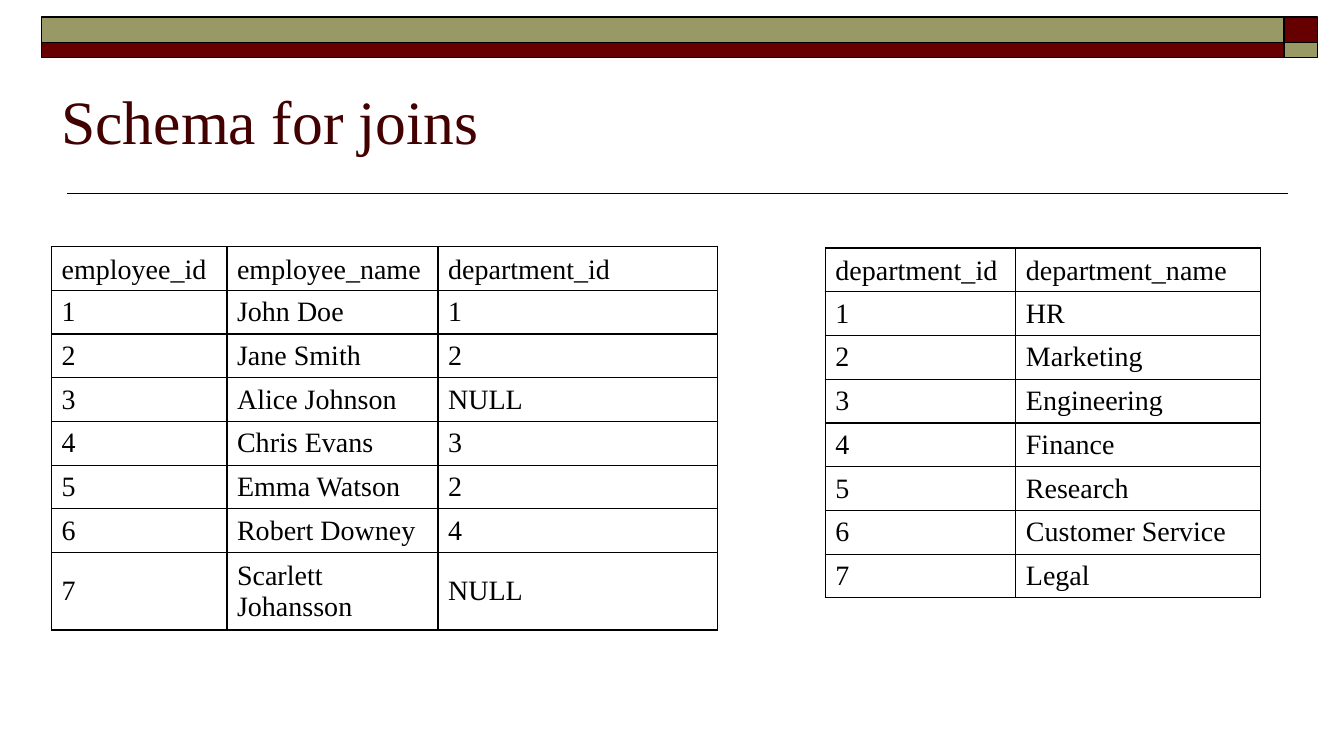
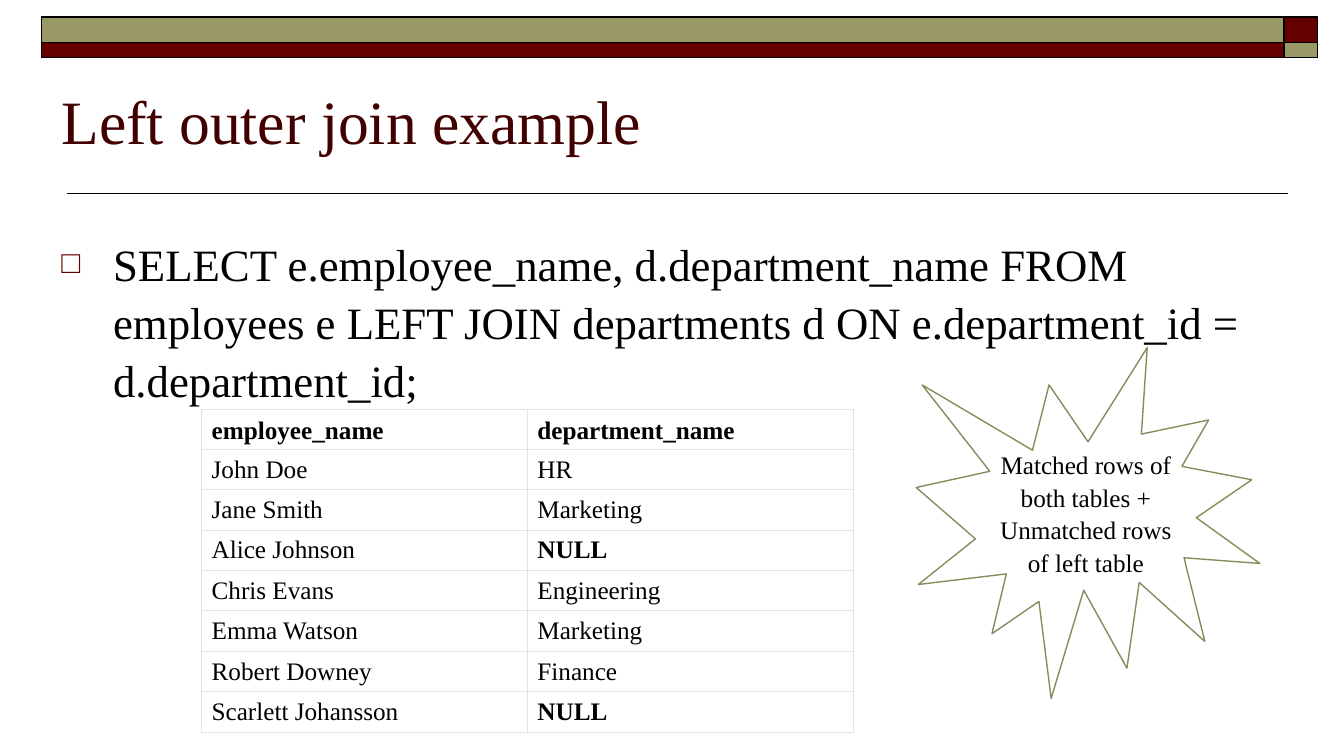
from lxml import etree
from pptx import Presentation
from pptx import util as u
from pptx.dml.color import RGBColor
from pptx.enum import shapes, text
from pptx.oxml.ns import qn

FONT = "Times New Roman"
BLACK, WHITE = "000000", "FFFFFF"
MAROON, OLIVE = "660000", "999966"
TITLE_COLOR, STAR_LINE, PALE_GRAY = "420000", "8A8A5C", "E3E3E3"
LOOSE = 1.08

EMPLOYEES = [
    ("1", "John Doe", "1"),
    ("2", "Jane Smith", "2"),
    ("3", "Alice Johnson", "NULL"),
    ("4", "Chris Evans", "3"),
    ("5", "Emma Watson", "2"),
    ("6", "Robert Downey", "4"),
    ("7", "Scarlett Johansson", "NULL"),
]
DEPARTMENTS = [
    ("1", "HR"),
    ("2", "Marketing"),
    ("3", "Engineering"),
    ("4", "Finance"),
    ("5", "Research"),
    ("6", "Customer Service"),
    ("7", "Legal"),
]
QUERY = ("SELECT e.employee_name, d.department_name FROM employees e "
         "LEFT JOIN departments d ON e.department_id = d.department_id;")


def color(hex_code):
    return RGBColor.from_string(hex_code)


def box(left, top, width, height):
    return [u.Cm(length) for length in (left, top, width, height)]


def add_bullet(paragraph, char, bullet_color, percent, indent):
    properties = paragraph._p.get_or_add_pPr()
    properties.set("marL", str(u.Cm(indent)))
    properties.set("indent", str(-u.Cm(indent)))
    tint = etree.SubElement(properties, qn("a:buClr"))
    etree.SubElement(tint, qn("a:srgbClr"), val=bullet_color)
    etree.SubElement(properties, qn("a:buSzPct"), val=str(percent * 1000))
    etree.SubElement(properties, qn("a:buFont"), typeface=FONT)
    etree.SubElement(properties, qn("a:buChar"), char=char)


def write(frame, content, size, ink=BLACK, bold=False, align=None, spacing=None):
    paragraph = frame.paragraphs[0]
    paragraph.alignment = align
    paragraph.line_spacing = spacing
    run = paragraph.add_run()
    run.text = content
    run.font.name = FONT
    run.font.size = u.Pt(size)
    run.font.bold = bold
    run.font.color.rgb = color(ink)
    return paragraph


def add_text(slide, place, content, anchor=text.MSO_ANCHOR.TOP, **style):
    frame = slide.shapes.add_textbox(*box(*place)).text_frame
    frame.word_wrap = True
    frame.vertical_anchor = anchor
    return write(frame, content, **style)


def add_filled(slide, kind, place, fill, line):
    shape = slide.shapes.add_shape(kind, *box(*place))
    shape.shadow.inherit = False
    shape.fill.solid()
    shape.fill.fore_color.rgb = color(fill)
    shape.line.color.rgb = color(line)
    shape.line.width = u.Pt(1)
    return shape


def add_rule(slide, left, right, y):
    rule = slide.shapes.add_connector(
        shapes.MSO_CONNECTOR.STRAIGHT, u.Cm(left), u.Cm(y), u.Cm(right), u.Cm(y))
    rule.line.color.rgb = color(BLACK)
    rule.line.width = u.Pt(1)
    etree.SubElement(rule._element.spPr, qn("a:effectLst"))


def border_cell(cell, line_color, points):
    properties = cell._tc.get_or_add_tcPr()
    for side in ("a:lnL", "a:lnR", "a:lnT", "a:lnB"):
        edge = etree.SubElement(properties, qn(side), w=str(u.Pt(points)))
        fill = etree.SubElement(edge, qn("a:solidFill"))
        etree.SubElement(fill, qn("a:srgbClr"), val=line_color)


def add_grid(slide, left, top, widths, row_height, rows, size,
             border=(BLACK, 1), fill=None, bold_words=()):
    """Add a table whose first row is the header."""
    place = box(left, top, sum(widths), row_height * len(rows))
    table = slide.shapes.add_table(len(rows), len(widths), *place).table
    table.first_row = table.horz_banding = False
    for column, width in zip(table.columns, widths):
        column.width = u.Cm(width)
    for r, values in enumerate(rows):
        table.rows[r].height = u.Cm(row_height)
        for c, value in enumerate(values):
            cell = table.cell(r, c)
            cell.vertical_anchor = text.MSO_ANCHOR.MIDDLE if r else text.MSO_ANCHOR.BOTTOM
            border_cell(cell, *border)
            if fill:
                cell.fill.solid()
                cell.fill.fore_color.rgb = color(fill)
            else:
                cell.fill.background()
            write(cell.text_frame, value, size=size, bold=value in bold_words)


def new_slide(deck, title):
    """Add a slide with the shared bands, rule and title."""
    slide = deck.slides.add_slide(deck.slide_layouts[6])
    add_rule(slide, 1.7, 32.46, 4.88)
    for top, height, band, corner in ((0.43, 0.64, OLIVE, MAROON),
                                      (1.07, 0.38, MAROON, OLIVE)):
        for left, width, fill in ((1.04, 31.32, band), (32.36, 0.84, corner)):
            add_filled(slide, shapes.MSO_SHAPE.RECTANGLE,
                       (left, top, width, height), fill, BLACK)
    add_text(slide, (1.3, 0.89, 30.48, 3.18), title,
             anchor=text.MSO_ANCHOR.BOTTOM, size=44, ink=TITLE_COLOR)
    return slide


def schema_slide(deck):
    slide = new_slide(deck, "Schema for joins")
    employee_header = ("employee_id", "employee_name", "department_id")
    add_grid(slide, 1.3, 6.21, (4.42, 5.32, 7.04), 1.04,
             [employee_header] + EMPLOYEES, size=20)
    add_grid(slide, 20.8, 6.25, (4.8, 6.17), 1.04,
             [("department_id", "department_name")] + DEPARTMENTS, size=20)


def left_join_slide(deck):
    slide = new_slide(deck, "Left outer join example")
    query = add_text(slide, (1.3, 5.72, 30.48, 11.61), QUERY, size=32, spacing=LOOSE)
    add_bullet(query, "□", MAROON, percent=70, indent=1.3)

    department_names = dict(DEPARTMENTS)
    header = ("employee_name", "department_name")
    joined = [(name, department_names.get(department, "NULL"))
              for _, name, department in EMPLOYEES]
    add_grid(slide, 5.08, 10.31, (8.21, 8.21), 0.96, [header] + joined, size=18,
             border=(PALE_GRAY, 0.75), fill=WHITE, bold_words=header + ("NULL",))

    star = add_filled(slide, shapes.MSO_SHAPE.EXPLOSION1,
                      (23.09, 8.76, 8.66, 8.84), WHITE, STAR_LINE)
    star.text_frame.word_wrap = True
    star.text_frame.vertical_anchor = text.MSO_ANCHOR.MIDDLE
    write(star.text_frame, "Matched rows of both tables + Unmatched rows of left table",
          size=18, align=text.PP_ALIGN.CENTER, spacing=LOOSE)


def main():
    deck = Presentation()
    deck.slide_width, deck.slide_height = u.Cm(33.87), u.Cm(19.05)
    schema_slide(deck)
    left_join_slide(deck)
    deck.save("out.pptx")


if __name__ == "__main__":
    main()
